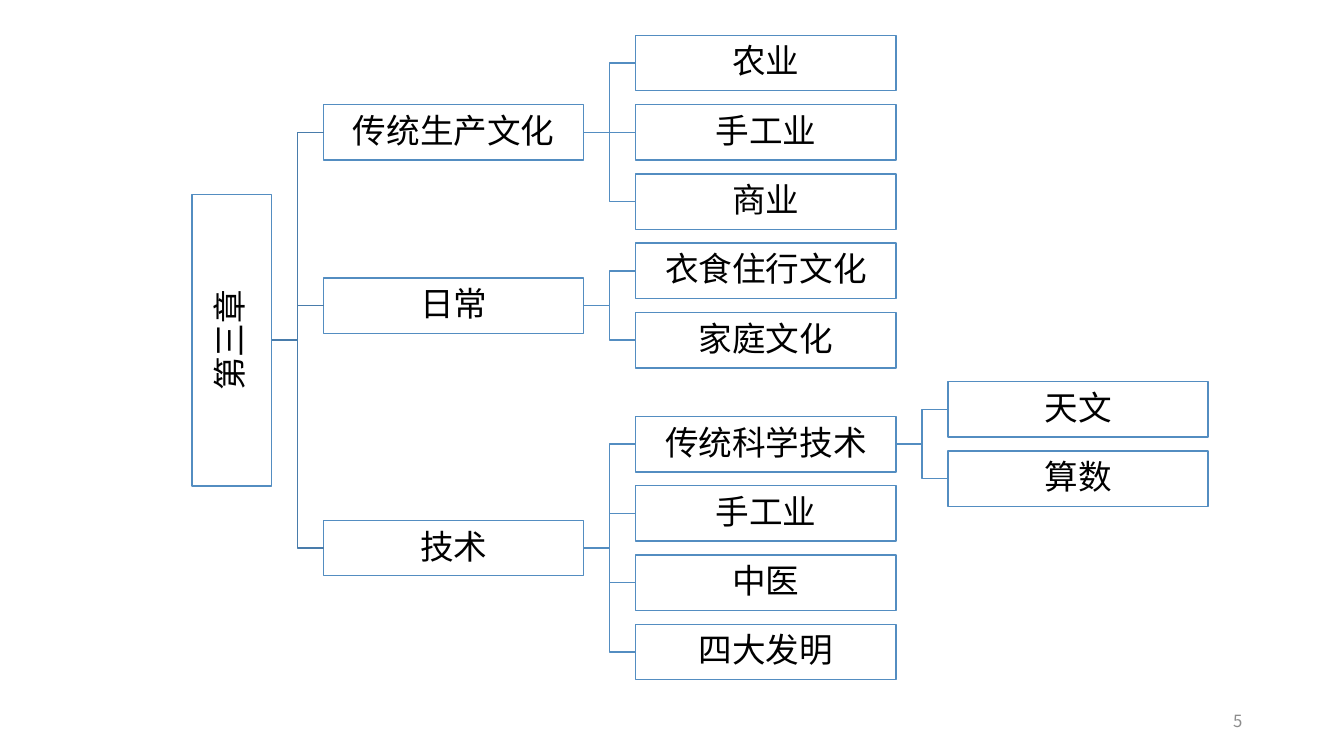
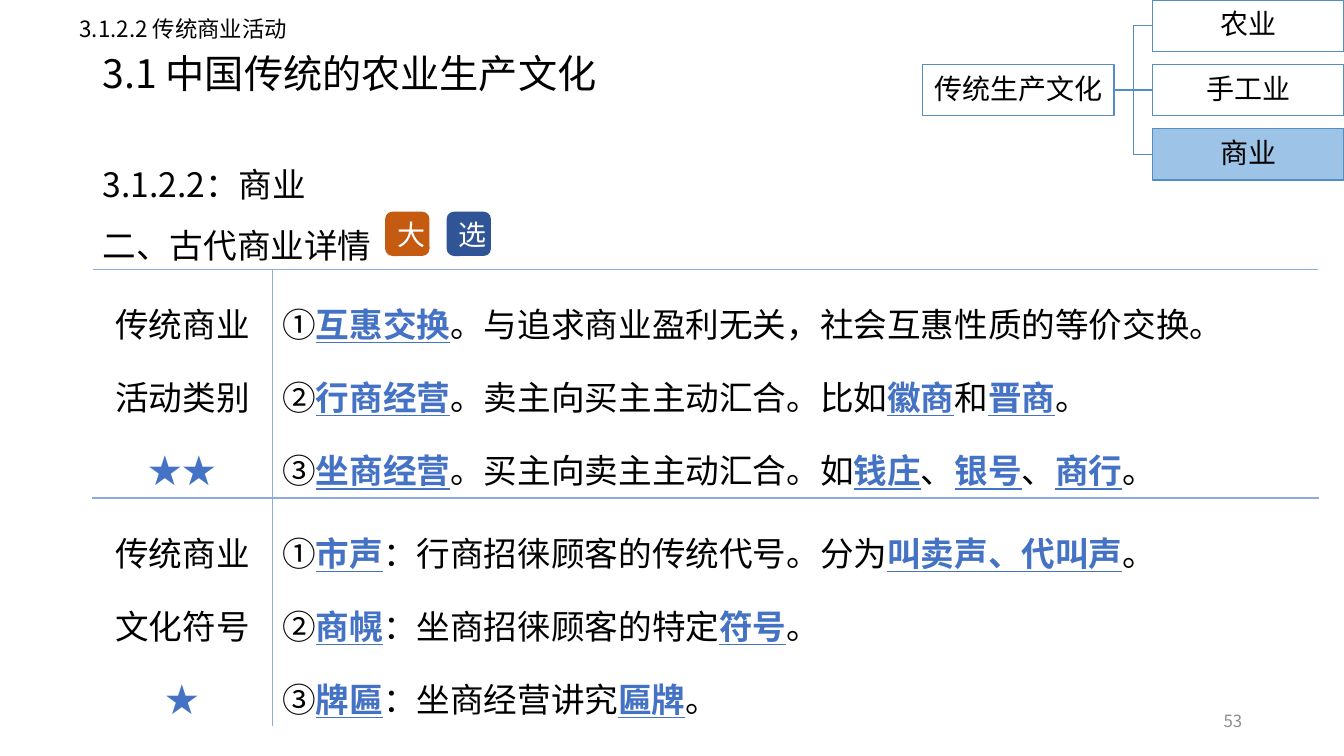
from dataclasses import dataclass

from lxml import etree
from pptx import Presentation
from pptx.dml.color import RGBColor
from pptx.enum import shapes, text
from pptx.oxml.ns import qn
from pptx.util import Inches, Pt


@dataclass(frozen=True)
class Theme:
    font: str = "Noto Sans CJK SC"
    ink: str = "000000"
    white: str = "FFFFFF"
    muted: str = "8C8C8C"
    accent: str = "4472C4"
    rule: str = "8FAADC"
    node_line: str = "538DC1"
    spine_line: str = "497CAB"
    current: str = "9DC3E6"
    orange: str = "C55A11"
    navy: str = "2F5597"
    title_size: int = 28
    body_size: int = 24
    small_size: int = 20
    label_size: int = 16
    number_size: int = 12


theme = Theme()
LEFT, CENTER, RIGHT = text.PP_ALIGN.LEFT, text.PP_ALIGN.CENTER, text.PP_ALIGN.RIGHT
MIDDLE = text.MSO_ANCHOR.MIDDLE


def write(frame, lines, size, color=theme.ink, align=LEFT, spacing=1.0):
    """Fill a text frame; pieces between bars are accented, and underlined unless stars."""
    for index, line in enumerate(lines):
        para = frame.add_paragraph() if index else frame.paragraphs[0]
        para.alignment = align
        para.line_spacing = spacing
        for order, piece in enumerate(line.split("|")):
            if not piece:
                continue
            accented = order % 2 == 1
            span = para.add_run()
            span.text = piece
            span.font.name = theme.font
            span.font.size = Pt(size)
            span.font.bold = span.font.underline = accented and "★" not in piece
            span.font.color.rgb = RGBColor.from_string(theme.accent if accented else color)
            etree.SubElement(span.font._element, qn("a:ea"), typeface=theme.font)


def draw_tree(page, nodes, left, top, width, height, size, current=None):
    """Draw (label, parent index, column, row) nodes; column -1 is an upright spine."""
    column_step, row_step = width * 1.2, height * 1.25
    spine_width, spine_height = 0.79, 2.89
    boxes = []
    for label, parent, column, row in nodes:
        spine = column < 0
        box_width, box_height = (spine_width, spine_height) if spine else (width, height)
        x = left - 0.2 * width - spine_width if spine else left + column * column_step
        y = top + row * row_step + (height - box_height) / 2
        box = page.shapes.add_shape(shapes.MSO_SHAPE.RECTANGLE, Inches(x), Inches(y),
                                    Inches(box_width), Inches(box_height))
        box.shadow.inherit = False
        box.fill.solid()
        box.fill.fore_color.rgb = RGBColor.from_string(
            theme.current if label == current else theme.white)
        box.line.color.rgb = RGBColor.from_string(theme.node_line)
        box.line.width = Pt(1)
        frame = box.text_frame
        frame.margin_left = frame.margin_right = Inches(0.01)
        frame.margin_top = frame.margin_bottom = Inches(0.01)
        frame.vertical_anchor = MIDDLE
        write(frame, [label], size, align=CENTER, spacing=0.9)
        if spine:
            frame._txBody.bodyPr.set("vert", "vert270")
        boxes.append(box)
        if parent is None:
            continue
        level = nodes[parent][3] == row
        kind = shapes.MSO_CONNECTOR.STRAIGHT if level else shapes.MSO_CONNECTOR.ELBOW
        branch = page.shapes.add_connector(kind, 0, 0, 0, 0)
        branch.begin_connect(boxes[parent], 3)
        branch.end_connect(box, 1)
        branch.line.width = Pt(1)
        branch.line.color.rgb = RGBColor.from_string(
            theme.spine_line if nodes[parent][2] < 0 else theme.node_line)
        etree.SubElement(branch._element.spPr, qn("a:effectLst"))


deck = Presentation()
deck.slide_width, deck.slide_height = Inches(13.33), Inches(7.5)
outline, detail = [deck.slides.add_slide(deck.slide_layouts[6]) for _ in range(2)]

# Chapter outline
chapter = [
    ("第三章", None, -1, 4),
    ("传统生产文化", 0, 0, 1),
    ("日常", 0, 0, 3.5),
    ("技术", 0, 0, 7),
    ("农业", 1, 1, 0),
    ("手工业", 1, 1, 1),
    ("商业", 1, 1, 2),
    ("衣食住行文化", 2, 1, 3),
    ("家庭文化", 2, 1, 4),
    ("传统科学技术", 3, 1, 5.5),
    ("手工业", 3, 1, 6.5),
    ("中医", 3, 1, 7.5),
    ("四大发明", 3, 1, 8.5),
    ("天文", 9, 2, 5),
    ("算数", 9, 2, 6),
]
draw_tree(outline, chapter, 3.21, 0.35, 2.58, 0.55, theme.body_size)

# Commerce: headings
title = detail.shapes.add_textbox(Inches(0.92), Inches(0.4), Inches(11.5), Inches(0.71))
title.text_frame.word_wrap = True
title.text_frame.vertical_anchor = MIDDLE
write(title.text_frame, ["3.1 中国传统的农业生产文化"], theme.title_size, spacing=0.9)

heading = detail.shapes.add_textbox(Inches(0.92), Inches(1.3), Inches(11.5), Inches(1.48))
heading.text_frame.word_wrap = True
write(heading.text_frame, ["3.1.2.2：商业", "二、古代商业详情"], theme.body_size, spacing=1.5)
heading.text_frame.paragraphs[0].line_spacing = 1.7

section = detail.shapes.add_textbox(Inches(0.69), Inches(0.1), Inches(2.33), Inches(0.37))
section.text_frame.word_wrap = False
write(section.text_frame, ["3.1.2.2 传统商业活动"], theme.label_size)

# Commerce: table
rows = [
    (["传统商业活动类别", "|★★|"],
     ["①|互惠交换|。与追求商业盈利无关，社会互惠性质的等价交换。",
      "②|行商经营|。卖主向买主主动汇合。比如|徽商|和|晋商|。",
      "③|坐商经营|。买主向卖主主动汇合。如|钱庄|、|银号|、|商行|。"]),
    (["传统商业文化符号", "|★|"],
     ["①|市声|：行商招徕顾客的传统代号。分为|叫卖声、代叫声|。",
      "②|商幌|：坐商招徕顾客的特定|符号|。",
      "③|牌匾|：坐商经营讲究|匾牌|。"]),
]
table = detail.shapes.add_table(2, 2, Inches(0.92), Inches(2.67),
                                Inches(12.16), Inches(4.54)).table
table.first_row = table.horz_banding = False
table.columns[0].width, table.columns[1].width = Inches(1.78), Inches(10.38)
for row_index, row in enumerate(rows):
    table.rows[row_index].height = Inches(2.27)
    for column_index, lines in enumerate(row):
        cell = table.cell(row_index, column_index)
        cell.vertical_anchor = MIDDLE
        write(cell.text_frame, lines, theme.body_size,
              align=LEFT if column_index else CENTER, spacing=1.5)
        ruled = {"L": column_index == 1, "R": column_index == 0,
                 "T": True, "B": row_index == 0}
        properties = cell._tc.get_or_add_tcPr()
        for side, visible in ruled.items():
            border = etree.SubElement(properties, qn(f"a:ln{side}"), w=str(Pt(1)))
            fill = etree.SubElement(border, qn("a:solidFill"))
            etree.SubElement(fill, qn("a:srgbClr"), val=theme.rule if visible else theme.white)
        cell.fill.background()

# Commerce: question-type badges
for index, (label, color) in enumerate([("大", theme.orange), ("选", theme.navy)]):
    badge = detail.shapes.add_shape(shapes.MSO_SHAPE.ROUNDED_RECTANGLE,
                                    Inches(3.82 + index * 0.61), Inches(2.1),
                                    Inches(0.44), Inches(0.44))
    badge.shadow.inherit = False
    badge.fill.solid()
    badge.fill.fore_color.rgb = RGBColor.from_string(color)
    badge.line.fill.background()
    badge.text_frame.vertical_anchor = MIDDLE
    write(badge.text_frame, [label], theme.small_size, theme.white, CENTER)

# Commerce: place in the chapter
branches = [("传统生产文化", None, 0, 1), ("农业", 0, 1, 0), ("手工业", 0, 1, 1), ("商业", 0, 1, 2)]
draw_tree(detail, branches, 9.15, 0, 1.9, 0.51, theme.small_size, current="商业")

# Page numbers
for page, number in [(outline, "5"), (detail, "53")]:
    footer = page.shapes.add_textbox(Inches(9.42), Inches(6.95), Inches(3), Inches(0.4))
    footer.text_frame.word_wrap = True
    footer.text_frame.vertical_anchor = MIDDLE
    write(footer.text_frame, [number], theme.number_size, theme.muted, RIGHT)

deck.save("out.pptx")
